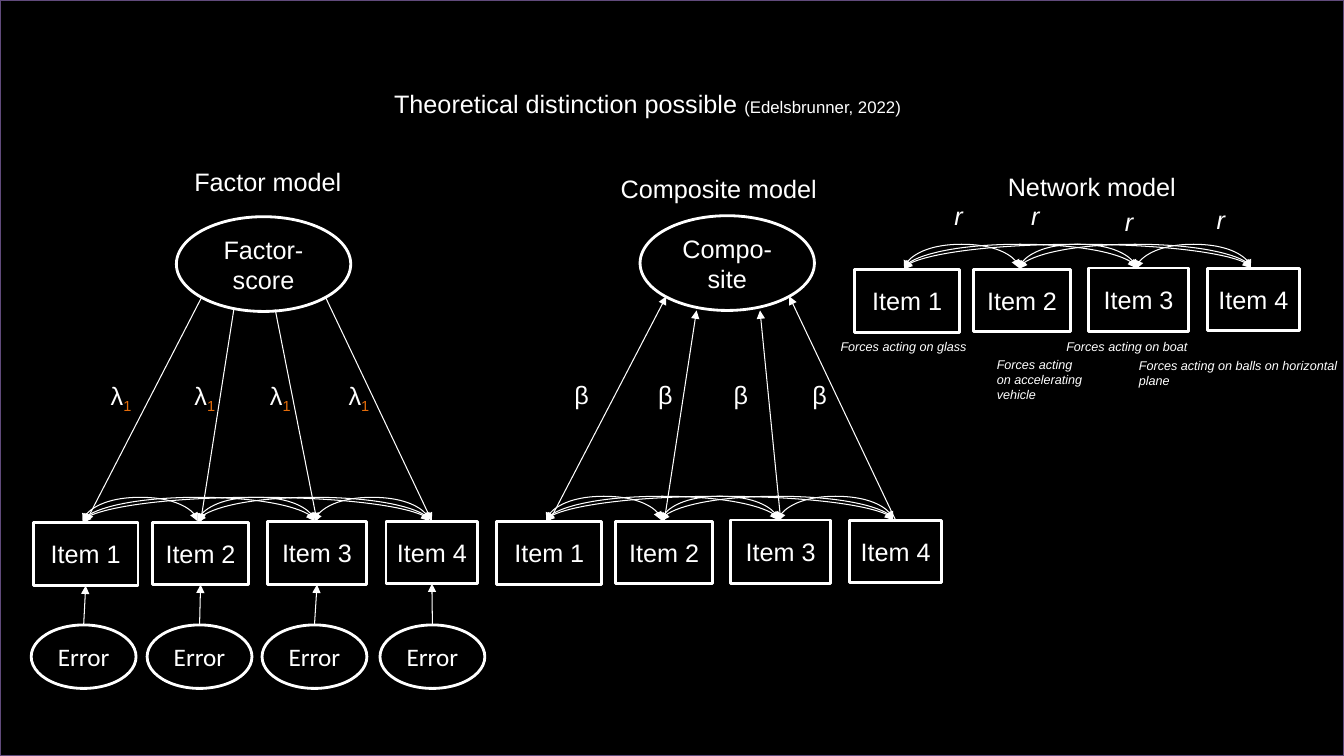
from dataclasses import dataclass
from itertools import combinations

from lxml.etree import SubElement
from pptx import Presentation
from pptx.dml.color import RGBColor
from pptx.enum.shapes import MSO_CONNECTOR, MSO_SHAPE
from pptx.enum.text import MSO_ANCHOR, MSO_AUTO_SIZE, PP_ALIGN
from pptx.oxml.ns import qn
from pptx.util import Inches, Pt


@dataclass(frozen=True)
class Theme:
    background: RGBColor = RGBColor(0x00, 0x00, 0x00)
    ink: RGBColor = RGBColor(0xFF, 0xFF, 0xFF)
    frame: RGBColor = RGBColor(0x60, 0x4A, 0x7B)
    accent: RGBColor = RGBColor(0xE4, 0x6C, 0x0A)
    font: str = "Arial"
    error_font: str = "Calibri"
    body_size: int = 18
    citation_size: int = 12
    caption_size: int = 9
    outline: float = 2
    arrow: float = 0.75


@dataclass(frozen=True)
class Box:
    """A place on the grid: left and width in columns, top and height in rows."""
    left: float
    top: float
    width: float
    height: float

    def moved(self, columns: float, rows: float) -> "Box":
        return Box(self.left + columns, self.top + rows, self.width, self.height)


@dataclass(frozen=True)
class Model:
    """One diagram; its points are relative to the origin column and row."""
    heading: str
    heading_at: tuple
    origin: tuple
    symbol: str
    symbols_at: tuple
    latent: str = ""
    links_at: tuple = ()
    latent_causes_items: bool = False
    subscript: str = ""
    italic: bool = False
    errors: bool = False


THEME = Theme()
CELL = 0.1  # inches per column and per row
COLUMNS, ROWS = 133.33, 75

ITEMS = (Box(3.3, 51.8, 10.4, 6.3), Box(15.1, 51.8, 9.6, 6.2),
         Box(26.5, 51.7, 9.9, 6.3), Box(38.3, 51.7, 9.1, 6.2))
LATENT = Box(17.5, 21.5, 17.3, 9.4)
ERROR_COLUMNS = (3.1, 14.6, 26, 37.7)
CURVE_COLUMNS = (8.2, 19.6, 31.2, 42.6)
CURVE_ROW, CURVE_RISE, CURVE_DROP = 51.75, 2.5, 0.1
WEIGHTS_AT = tuple((column, 37.2) for column in (10, 18.3, 25.8, 33.6))

MODELS = (
    Model("Factor model", (18.3, 16), (0, 0), "λ", WEIGHTS_AT, "Factor-score",
          ((20, 29.5), (23.2, 30.7), (27.3, 30.7), (32.3, 29.5)),
          latent_causes_items=True, subscript="1", errors=True),
    Model("Composite model", (14.6, 16.8), (46, -0.1), "β", WEIGHTS_AT, "Compo-site",
          ((20.1, 29.5), (23.1, 30.9), (29.4, 30.9), (32.3, 29.5))),
    Model("Network model", (17.5, 41.6), (81.5, -25.1), "r",
          ((12.2, 44.5), (19.8, 44.5), (29.1, 45.1), (38.2, 44.9)), italic=True),
)
CAPTIONS = (
    ("Forces acting on glass", Box(82.4, 33.1, 31.3, 2.5)),
    ("Forces acting on accelerating vehicle", Box(97.9, 34.9, 10.8, 5.6)),
    ("Forces acting on boat", Box(104.8, 33.1, 16.7, 2.5)),
    ("Forces acting on balls on horizontal plane", Box(112, 35, 24.2, 4)),
)


def grid(cells: float) -> int:
    return Inches(cells * CELL)


def place(box: Box) -> tuple:
    return tuple(grid(value) for value in (box.left, box.top, box.width, box.height))


def write(paragraph, text: str, *, size=THEME.body_size, font=THEME.font,
          color=THEME.ink, italic=False, baseline=0) -> None:
    run = paragraph.add_run()
    run.text = text
    run.font.size, run.font.name = Pt(size), font
    run.font.color.rgb = color
    if italic:
        run.font.italic = True
    if baseline:
        run._r.get_or_add_rPr().set("baseline", str(baseline * 1000))


def add_label(slide, box: Box, text: str, **text_format):
    """Add a text box and return its paragraph."""
    frame = slide.shapes.add_textbox(*place(box)).text_frame
    frame.word_wrap = True
    frame.auto_size = MSO_AUTO_SIZE.SHAPE_TO_FIT_TEXT
    write(frame.paragraphs[0], text, **text_format)
    return frame.paragraphs[0]


def add_outline(slide, kind, box: Box, text="", color=THEME.ink, **text_format):
    shape = slide.shapes.add_shape(kind, *place(box))
    shape.shadow.inherit = False
    shape.fill.background()
    shape.line.color.rgb = color
    shape.line.width = Pt(THEME.outline)
    if text:
        shape.text_frame.word_wrap = True
        shape.text_frame.vertical_anchor = MSO_ANCHOR.MIDDLE
        paragraph = shape.text_frame.paragraphs[0]
        paragraph.alignment = PP_ALIGN.CENTER
        write(paragraph, text, **text_format)
    return shape


def add_arrow(slide, kind, start=(0, 0), end=(0, 0), heads=("tailEnd",)):
    points = [grid(value) for value in (*start, *end)]
    connector = slide.shapes.add_connector(kind, *points)
    connector.line.color.rgb = THEME.ink
    connector.line.width = Pt(THEME.arrow)
    properties = connector._element.spPr
    for head in heads:
        SubElement(properties.find(qn("a:ln")), qn(f"a:{head}"), type="triangle")
    SubElement(properties, qn("a:effectLst"))
    return connector


def add_correlation(slide, first: float, last: float, row: float) -> None:
    """Arch upwards from one column to another: a curve turned by 90 degrees."""
    arch = add_arrow(slide, MSO_CONNECTOR.CURVE, heads=("headEnd", "tailEnd"))
    span, middle = last - first, (first + last) / 2
    arch.left, arch.top, arch.width, arch.height = place(
        Box(middle - CURVE_DROP / 2, row - span / 2, CURVE_DROP, span))
    properties = arch._element.spPr
    transform = properties.find(qn("a:xfrm"))
    for name, value in (("rot", "5400000"), ("flipH", "1"), ("flipV", "1")):
        transform.set(name, value)
    geometry = properties.find(qn("a:prstGeom"))
    adjustments = geometry.find(qn("a:avLst"))
    if adjustments is None:
        adjustments = SubElement(geometry, qn("a:avLst"))
    rise = round(CURVE_RISE / CURVE_DROP * 100000)
    SubElement(adjustments, qn("a:gd"), name="adj1", fmla=f"val {rise}")


def add_model(slide, model: Model) -> None:
    column, row = model.origin
    add_label(slide, Box(*model.heading_at, 53.3, 4).moved(column, row), model.heading)
    items = [add_outline(slide, MSO_SHAPE.RECTANGLE, box.moved(column, row), f"Item {number}")
             for number, box in enumerate(ITEMS, 1)]

    # Latent variable and its arrows
    if model.latent:
        add_outline(slide, MSO_SHAPE.OVAL, LATENT.moved(column, row), model.latent)
    for item, (link_column, link_row) in zip(items, model.links_at):
        point = (link_column + column, link_row + row)
        arrow = add_arrow(slide, MSO_CONNECTOR.STRAIGHT, point, point)
        join = arrow.end_connect if model.latent_causes_items else arrow.begin_connect
        join(item, 0)

    # Weights and correlations
    for position in model.symbols_at:
        paragraph = add_label(slide, Box(*position, 7.8, 4).moved(column, row),
                              model.symbol, italic=model.italic)
        if model.subscript:
            write(paragraph, model.subscript, color=THEME.accent, baseline=-25)
    for first, last in combinations(CURVE_COLUMNS, 2):
        add_correlation(slide, first + column, last + column, CURVE_ROW + row)

    # Error terms
    if model.errors:
        for item, left in zip(items, ERROR_COLUMNS):
            error = add_outline(slide, MSO_SHAPE.OVAL, Box(left, 62, 10.4, 6.3),
                                "Error", font=THEME.error_font)
            arrow = add_arrow(slide, MSO_CONNECTOR.STRAIGHT)
            arrow.begin_connect(error, 0)
            arrow.end_connect(item, 2)


def add_title(slide) -> None:
    title = slide.shapes.title
    title.left, title.top, title.width, title.height = place(Box(38.1, 8.3, 83.5, 4))
    title.text_frame.word_wrap = True
    title.text_frame.auto_size = MSO_AUTO_SIZE.SHAPE_TO_FIT_TEXT
    title.text_frame.vertical_anchor = MSO_ANCHOR.TOP
    paragraph = title.text_frame.paragraphs[0]
    paragraph.alignment = PP_ALIGN.LEFT
    write(paragraph, "Theoretical distinction possible ")
    write(paragraph, "(Edelsbrunner, 2022)", size=THEME.citation_size)


def main() -> None:
    presentation = Presentation()
    presentation.slide_width, presentation.slide_height = grid(COLUMNS), grid(ROWS)
    slide = presentation.slides.add_slide(presentation.slide_layouts[5])
    slide.background.fill.solid()
    slide.background.fill.fore_color.rgb = THEME.background
    add_outline(slide, MSO_SHAPE.RECTANGLE, Box(0, 0, COLUMNS, ROWS), color=THEME.frame)
    add_title(slide)
    for model in MODELS:
        add_model(slide, model)
    for text, box in CAPTIONS:
        add_label(slide, box, text, size=THEME.caption_size, italic=True)
    presentation.save("out.pptx")


if __name__ == "__main__":
    main()
